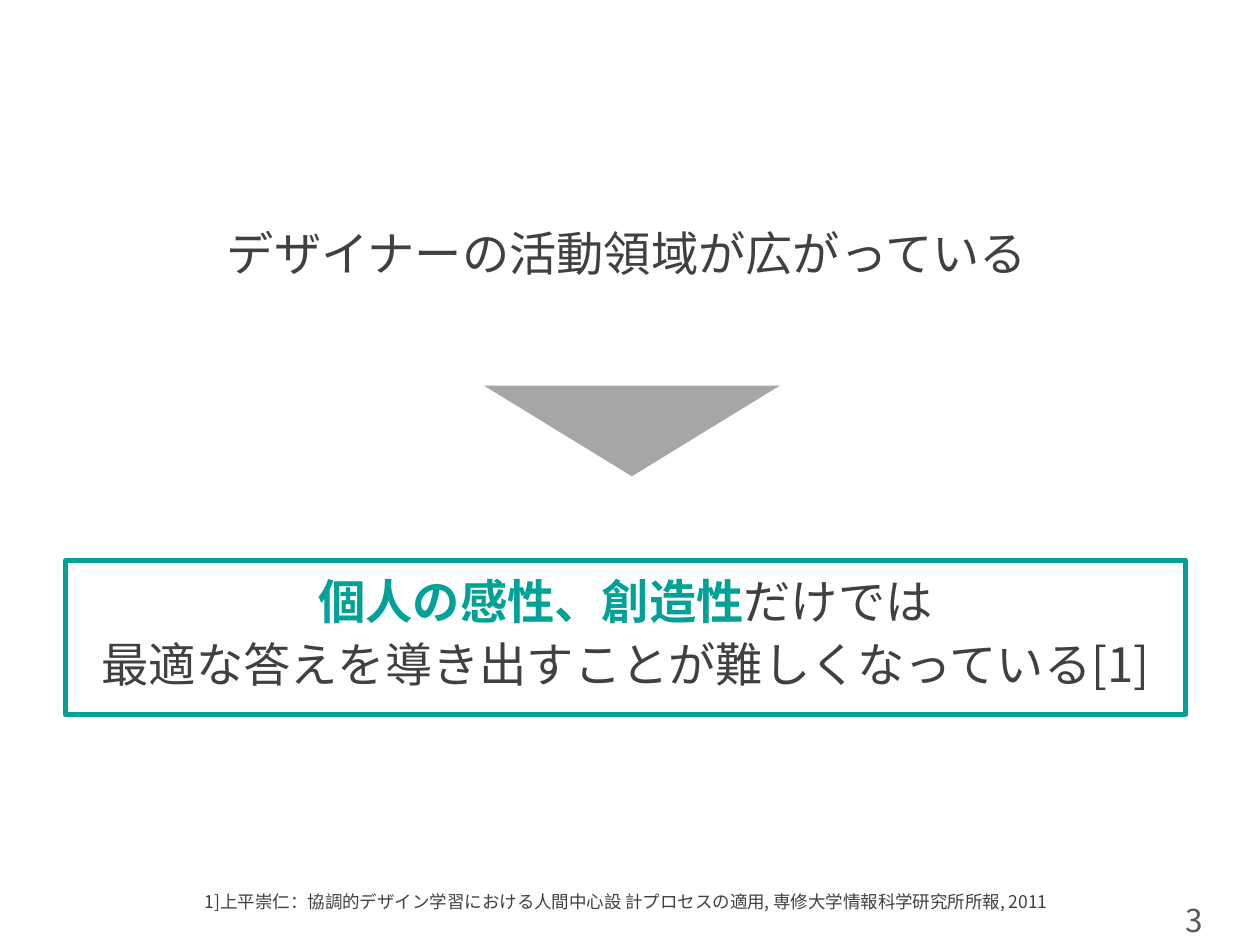
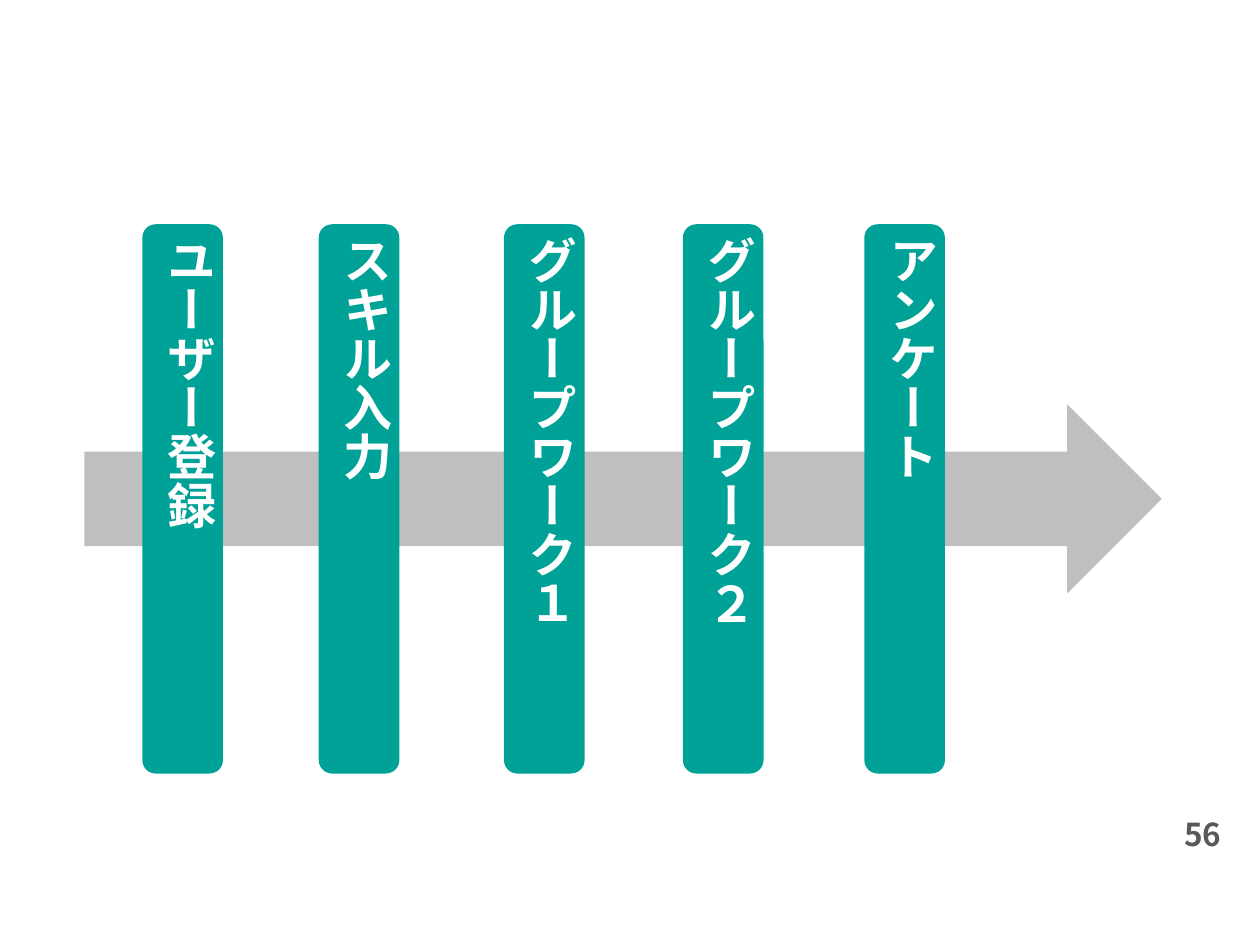
from dataclasses import dataclass
from typing import NamedTuple

from pptx import Presentation
from pptx.dml.color import RGBColor
from pptx.enum.shapes import MSO_SHAPE
from pptx.enum.text import MSO_ANCHOR, MSO_AUTO_SIZE, PP_ALIGN
from pptx.oxml.ns import qn
from pptx.util import Inches, Pt

LEFT, CENTER = PP_ALIGN.LEFT, PP_ALIGN.CENTER
TOP, MIDDLE = MSO_ANCHOR.TOP, MSO_ANCHOR.MIDDLE
NO_FIT, GROW = MSO_AUTO_SIZE.NONE, MSO_AUTO_SIZE.SHAPE_TO_FIT_TEXT
RECT, ROUNDED = MSO_SHAPE.RECTANGLE, MSO_SHAPE.ROUNDED_RECTANGLE
TRIANGLE, ARROW = MSO_SHAPE.FLOWCHART_MERGE, MSO_SHAPE.RIGHT_ARROW
SECTION_LAYOUT, BLANK_LAYOUT = 2, 6


@dataclass(frozen=True)
class Theme:
    font: str = "Noto Sans CJK JP"
    accent: str = "00A297"
    text: str = "404040"
    number: str = "595959"
    triangle: str = "A6A6A6"
    arrow: str = "BFBFBF"
    white: str = "FFFFFF"
    statement_size: int = 27
    step_size: int = 28
    number_size: int = 18
    note_size: int = 10


THEME = Theme()


class Box(NamedTuple):
    left: float
    top: float
    width: float
    height: float

    def lengths(self) -> list:
        return [Inches(v) for v in self]


class Step(NamedTuple):
    label: str
    left: float


STEPS = [
    Step("ユーザー登録", 1.13),
    Step("スキル入力", 2.53),
    Step("グループワーク１", 4.0),
    Step("グループワーク２", 5.42),
    Step("アンケート", 6.86),
]
STEP_TOP, STEP_WIDTH, STEP_HEIGHT = 1.78, 0.64, 4.36
LABEL_OVERHANG = 0.02


# Shared helpers
def add_run(p, text: str, size: int, color: str, bold: bool = False) -> None:
    r = p.add_run()
    r.text = text
    font = r.font
    font.name, font.size, font.bold = THEME.font, Pt(size), bold
    font.color.rgb = RGBColor.from_string(color)
    # Japanese glyphs take the East Asian typeface
    ea = r._r.get_or_add_rPr().makeelement(qn("a:ea"), {"typeface": THEME.font})
    font._element.find(qn("a:latin")).addnext(ea)


def add_filled(s, kind, box: Box, color: str):
    sp = s.shapes.add_shape(kind, *box.lengths())
    sp.shadow.inherit = False
    sp.fill.solid()
    sp.fill.fore_color.rgb = RGBColor.from_string(color)
    sp.line.fill.background()
    return sp


def add_text(s, box: Box, text: str, size: int, color: str,
             bold: bool = False, align=LEFT, vertical: bool = False) -> None:
    tf = s.shapes.add_textbox(*box.lengths()).text_frame
    tf.word_wrap = True
    tf.auto_size = GROW
    if vertical:
        tf._txBody.bodyPr.set("vert", "eaVert")
    p = tf.paragraphs[0]
    p.alignment = align
    add_run(p, text, size, color, bold)


def add_number(s, box: Box, number: int, bold: bool = False) -> None:
    add_text(s, box, str(number), THEME.number_size, THEME.number, bold)


# Slide: the limits of individual creativity
def add_conclusion(s) -> None:
    sp = s.shapes.add_shape(RECT, *Box(0.52, 4.45, 8.89, 1.22).lengths())
    sp.shadow.inherit = False
    sp.fill.background()
    sp.line.color.rgb = RGBColor.from_string(THEME.accent)
    sp.line.width = Pt(3)
    tf = sp.text_frame
    tf.word_wrap = True
    tf.vertical_anchor = MIDDLE
    tf.margin_left = tf.margin_right = Inches(0.07)
    tf.margin_top = tf.margin_bottom = Inches(0.04)
    first, second = tf.paragraphs[0], tf.add_paragraph()
    for p in (first, second):
        p.alignment = CENTER
        p.space_before = Pt(10)
        p.line_spacing = 0.8
    size = THEME.statement_size
    add_run(first, "個人の感性、創造性", size, THEME.accent, bold=True)
    add_run(first, "だけでは", size, THEME.text)
    add_run(second, "最適な答えを導き出すことが難しくなっている[1]", size, THEME.text)


def build_statement(prs) -> None:
    s = prs.slides.add_slide(prs.slide_layouts[SECTION_LAYOUT])
    title = s.shapes.title._element
    title.getparent().remove(title)

    body = s.placeholders[1]
    body.left, body.top, body.width, body.height = Box(0.76, 1.78, 8.43, 0.5).lengths()
    tf = body.text_frame
    tf.auto_size = NO_FIT
    tf.vertical_anchor = MIDDLE
    p = tf.paragraphs[0]
    p.alignment = CENTER
    p.line_spacing = 0.9
    p.space_before = Pt(10)
    add_run(p, "デザイナーの活動領域が広がっている", THEME.statement_size, THEME.text)

    add_conclusion(s)
    add_filled(s, TRIANGLE, Box(3.84, 3.06, 2.35, 0.72), THEME.triangle)
    add_text(s, Box(0.03, 7.02, 9.88, 0.27),
             "1]上平崇仁：協調的デザイン学習における人間中心設 計プロセスの適用, "
             "専修大学情報科学研究所所報, 2011",
             THEME.note_size, THEME.text, align=CENTER)
    add_number(s, Box(9.31, 7.1, 0.53, 0.4), 3)


# Slide: steps along the arrow
def add_step(s, step: Step) -> None:
    bar = Box(step.left, STEP_TOP, STEP_WIDTH, STEP_HEIGHT)
    add_filled(s, ROUNDED, bar, THEME.accent)
    label = bar._replace(left=step.left - LABEL_OVERHANG,
                         width=STEP_WIDTH + 2 * LABEL_OVERHANG)
    add_text(s, label, step.label, THEME.step_size, THEME.white,
             bold=True, vertical=True)


def build_steps(prs) -> None:
    s = prs.slides.add_slide(prs.slide_layouts[BLANK_LAYOUT])
    add_filled(s, ARROW, Box(0.67, 3.21, 8.55, 1.5), THEME.arrow)
    add_number(s, Box(9.3, 6.42, 0.53, 0.71), 56, bold=True)
    for step in STEPS:
        add_step(s, step)


def main() -> None:
    prs = Presentation()
    prs.slide_width, prs.slide_height = Inches(10), Inches(7.5)
    build_statement(prs)
    build_steps(prs)
    prs.save("out.pptx")


if __name__ == "__main__":
    main()
